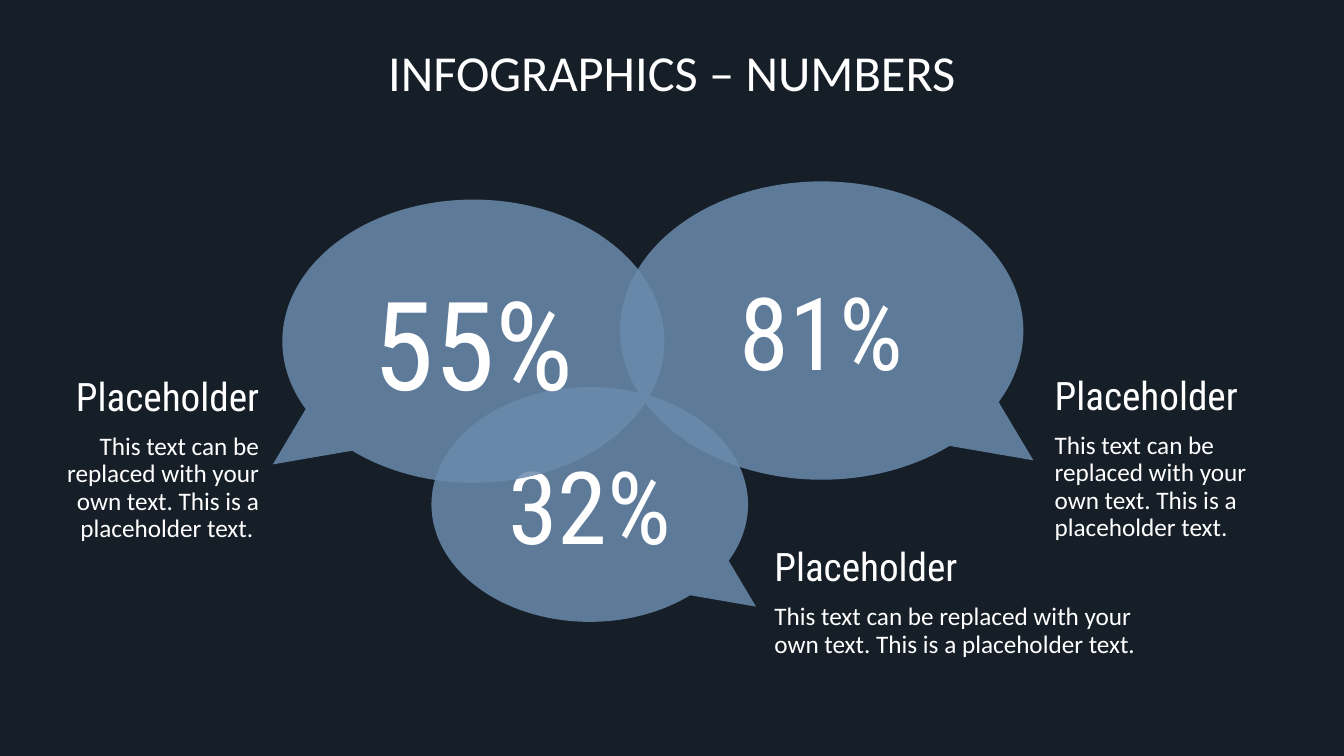
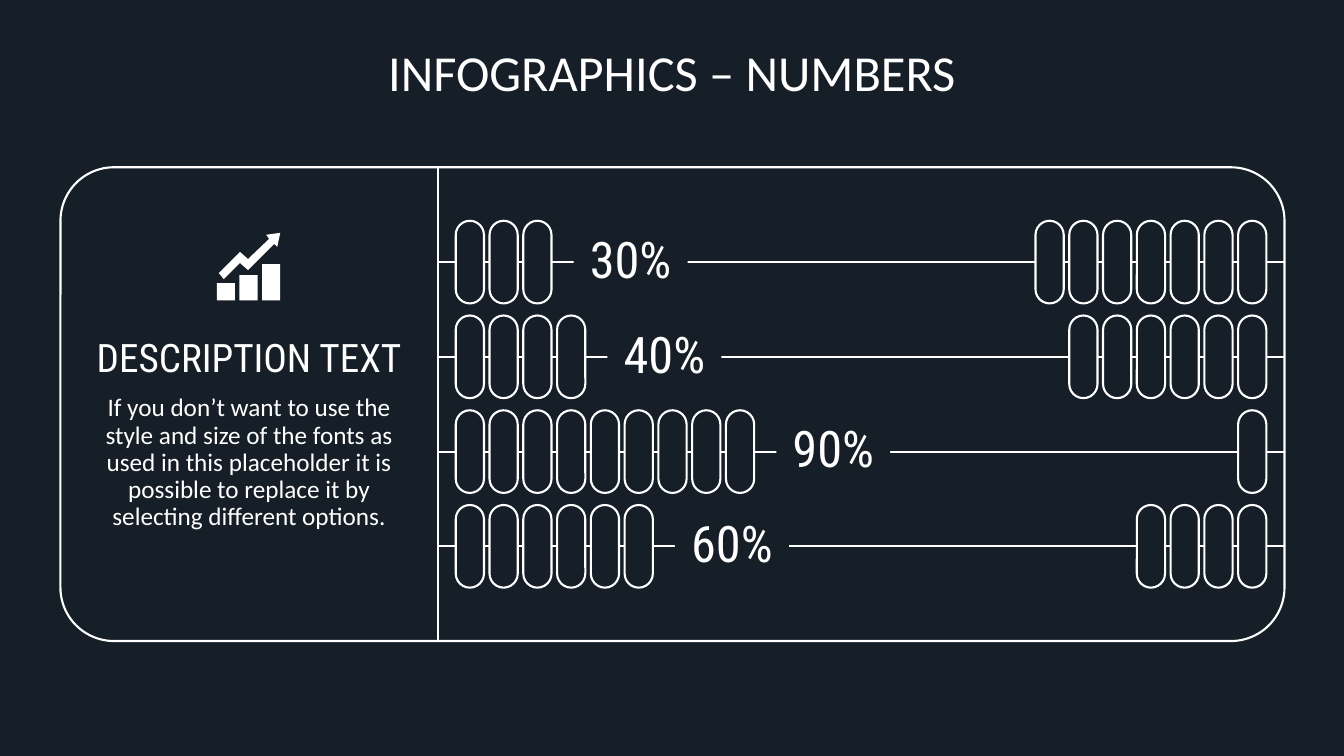
"""Build two infographic slides about numbers."""
import dataclasses

import lxml.etree
import pptx
import pptx.dml.color
import pptx.enum.shapes
import pptx.enum.text
import pptx.oxml.ns
import pptx.util

Inches = pptx.util.Inches
ALIGN = pptx.enum.text.PP_ALIGN
ANCHOR = pptx.enum.text.MSO_ANCHOR
SHAPE = pptx.enum.shapes.MSO_SHAPE


@dataclasses.dataclass(frozen=True)
class Theme:
    """Colours, fonts and type sizes of the deck."""

    background: str = "161F28"
    foreground: str = "FFFFFF"
    bubble: str = "6A8BAD"
    bubble_opacity: int = 85
    body_font: str = "Calibri"
    accent_font: str = "Roboto Condensed"
    title_size: int = 36
    heading_size: int = 28
    body_size: int = 18
    share_size: int = 36
    bubble_size: int = 72
    large_bubble_size: int = 88
    line_width: float = 1.5
    line_spacing: float = 0.9
    space_after: int = 10


@dataclasses.dataclass(frozen=True)
class Box:
    """A rectangle in inches."""

    left: float
    top: float
    width: float
    height: float

    @property
    def right(self):
        """Return the right edge."""
        return self.left + self.width

    @property
    def bottom(self):
        """Return the bottom edge."""
        return self.top + self.height

    def lengths(self):
        """Return the position and size as lengths."""
        return [Inches(value) for value in dataclasses.astuple(self)]

    def inner(self, left, top, width, height):
        """Return a box placed relative to this one."""
        return Box(self.left + left, self.top + top, width, height)


THEME = Theme()
TITLE = "INFOGRAPHICS – NUMBERS"
TITLE_BOX = Box(0.59, 0.48, 12.15, 1.18)
NO_INSETS = (0, 0, 0, 0)


def color(value):
    """Return an RGB colour from its hex value."""
    return pptx.dml.color.RGBColor.from_string(value)


def write(frame, lines, align, insets, anchor=ANCHOR.MIDDLE,
          line_spacing=THEME.line_spacing, space_after=THEME.space_after):
    """Fill a text frame with lines of (text, size, font)."""
    frame.word_wrap = True
    frame.auto_size = pptx.enum.text.MSO_AUTO_SIZE.NONE
    frame.vertical_anchor = anchor
    (frame.margin_left, frame.margin_top,
     frame.margin_right, frame.margin_bottom) = map(Inches, insets)
    frame.text = "\n".join(text for text, _, _ in lines)
    for para, (_, size, font) in zip(frame.paragraphs, lines):
        para.alignment = align
        para.line_spacing = line_spacing
        para.space_before = pptx.util.Pt(0)
        para.space_after = pptx.util.Pt(space_after)
        for span in para.runs:
            span.font.size = pptx.util.Pt(size)
            span.font.name = font
            span.font.color.rgb = color(THEME.foreground)


def heading_and_body(heading, body):
    """Return the two styled lines of a text block."""
    return [(heading, THEME.heading_size, THEME.accent_font),
            (body, THEME.body_size, THEME.body_font)]


def style_line(line):
    """Give a line the shared colour and width."""
    line.color.rgb = color(THEME.foreground)
    line.width = pptx.util.Pt(THEME.line_width)


def style_shape(shape, fill=None, outlined=False):
    """Make a shape flat and set its fill and outline."""
    shape.shadow.inherit = False
    if fill:
        shape.fill.solid()
        shape.fill.fore_color.rgb = color(fill)
    else:
        shape.fill.background()
    if outlined:
        style_line(shape.line)
    else:
        shape.line.fill.background()


def add_shape(page, kind, box, fill=None, outlined=False):
    """Add a flat preset shape."""
    shape = page.shapes.add_shape(kind, *box.lengths())
    style_shape(shape, fill, outlined)
    return shape


def add_line(page, *ends):
    """Add a straight line between two points."""
    line = page.shapes.add_connector(
        pptx.enum.shapes.MSO_CONNECTOR.STRAIGHT, *map(Inches, ends))
    style_line(line.line)
    lxml.etree.SubElement(line._element.spPr, pptx.oxml.ns.qn("a:effectLst"))


def add_text(page, box, lines, align, insets):
    """Add a text box."""
    text_box = page.shapes.add_textbox(*box.lengths())
    write(text_box.text_frame, lines, align, insets)


def add_page(deck):
    """Add a title-only page with the shared title."""
    page = deck.slides.add_slide(deck.slide_layouts[5])
    title = page.shapes.title
    title.left, title.top, title.width, title.height = TITLE_BOX.lengths()
    write(title.text_frame, [(TITLE, THEME.title_size, THEME.body_font)],
          ALIGN.CENTER, NO_INSETS, anchor=ANCHOR.TOP, space_after=0)
    return page


def add_bubble(page, box, value, size, tail_side):
    """Add a translucent speech bubble with its tail at -1 left or 1 right."""
    bubble = add_shape(page, SHAPE.OVAL_CALLOUT, box, THEME.bubble)
    bubble.adjustments[0] = tail_side * 0.525
    bubble.adjustments[1] = 0.435
    fill = bubble._element.spPr.find(".//" + pptx.oxml.ns.qn("a:srgbClr"))
    lxml.etree.SubElement(fill, pptx.oxml.ns.qn("a:alpha"),
                          val=str(THEME.bubble_opacity * 1000))
    write(bubble.text_frame, [(value, size, THEME.accent_font)], ALIGN.CENTER,
          (0.1, 0.05, 0.1, 0.05), line_spacing=1.0, space_after=0)


def add_bubbles_page(deck):
    """Add the page with three speech bubbles and captions."""
    page = add_page(deck)
    for box, value, size, tail_side in (
            (Box(4.28, 3.84, 3.14, 2.33), "32%", THEME.bubble_size, 1),
            (Box(6.15, 1.8, 4, 2.96), "81%", THEME.bubble_size, 1),
            (Box(2.8, 1.98, 3.79, 2.81), "55%", THEME.large_bubble_size, -1)):
        add_bubble(page, box, value, size, tail_side)
    body = "This text can be replaced with your own text. This is a placeholder text."
    broken_body = body.replace("your ", "your \v")
    side_insets = (0.2, 0, 0.2, 0)
    for box, text, align, insets in (
            (Box(0.6, 3.65, 2.13, 1.83), body + " ", ALIGN.RIGHT, (0, 0, 0.16, 0)),
            (Box(10.26, 3.64, 2.48, 1.83), body, ALIGN.LEFT, side_insets),
            (Box(7.48, 5.5, 5.32, 0.97), broken_body, ALIGN.LEFT, side_insets)):
        add_text(page, box, heading_and_body("Placeholder", text), align, insets)


def add_growth_icon(page, box):
    """Add three rising bars under a zigzag arrow."""
    bar_width = 0.18
    gap = (box.width - 3 * bar_width) / 2
    for index, height in enumerate((0.17, 0.25, 0.36)):
        bar = box.inner(index * (bar_width + gap), box.height - height,
                        bar_width, height)
        add_shape(page, SHAPE.RECTANGLE, bar, THEME.foreground)
    outline = [(0.23, 0.19), (0.31, 0.26), (0.52, 0.06), (0.49, 0.02),
               (0.63, 0), (0.6, 0.14), (0.57, 0.11), (0.31, 0.37),
               (0.23, 0.3), (0.07, 0.46), (0.02, 0.4)]
    points = [(Inches(box.left + x), Inches(box.top + y)) for x, y in outline]
    builder = page.shapes.build_freeform(*points[0])
    builder.add_line_segments(points[1:], close=True)
    style_shape(builder.convert_to_shape(), THEME.foreground)


def add_description(page, box):
    """Add the icon and the text of the left panel."""
    add_text(page, box, heading_and_body(
        "DESCRIPTION TEXT",
        "If you don’t want to use the style and size of the fonts as used in "
        "this placeholder it is possible to replace it by selecting different "
        "options."), ALIGN.CENTER, (0.28, 0.89, 0.28, 0.28))
    add_growth_icon(page, box.inner(1.55, 0.65, 0.63, 0.67))


def add_bead_row(page, box, count):
    """Add one abacus wire with ten beads and the share moved left."""
    bead_width, margin, pitch, total = 0.28, 0.18, 2.68 / 8, 10
    middle = box.height / 2
    add_line(page, box.left, box.top + middle, box.right, box.top + middle)
    last = box.width - margin - bead_width
    lefts = [margin + index * pitch for index in range(count)]
    rights = [last - index * pitch for index in reversed(range(total - count))]
    for left in lefts + rights:
        bead = add_shape(page, SHAPE.ROUNDED_RECTANGLE,
                         box.inner(left, 0, bead_width, box.height),
                         THEME.background, outlined=True)
        bead.adjustments[0] = 0.5
    label_height = 0.53
    label = add_shape(page, SHAPE.RECTANGLE,
                      box.inner(lefts[-1] + 0.5, middle - label_height / 2,
                                1.13, label_height), THEME.background)
    write(label.text_frame,
          [(f"{count * 100 // total}%", THEME.share_size, THEME.accent_font)],
          ALIGN.CENTER, NO_INSETS)


def add_abacus_page(deck):
    """Add the page with a description and an abacus."""
    page = add_page(deck)
    panel = Box(0.6, 1.66, 12.14, 4.7)
    split, row_pitch = 3.74, 0.94
    frame = add_shape(page, SHAPE.ROUNDED_RECTANGLE, panel, outlined=True)
    frame.adjustments[0] = 0.113
    add_description(page, panel.inner(0, 0, split, panel.height))
    divider = panel.left + split
    add_line(page, divider, panel.top, divider, panel.bottom)
    for index, count in enumerate((3, 4, 9, 6)):
        add_bead_row(page, panel.inner(split, 0.53 + index * row_pitch,
                                       panel.width - split, 0.82), count)


def main():
    """Build and save the deck."""
    deck = pptx.Presentation()
    deck.slide_width, deck.slide_height = Inches(13.33), Inches(7.5)
    backdrop = deck.slide_master.background.fill
    backdrop.solid()
    backdrop.fore_color.rgb = color(THEME.background)
    add_bubbles_page(deck)
    add_abacus_page(deck)
    deck.save("out.pptx")


if __name__ == "__main__":
    main()
